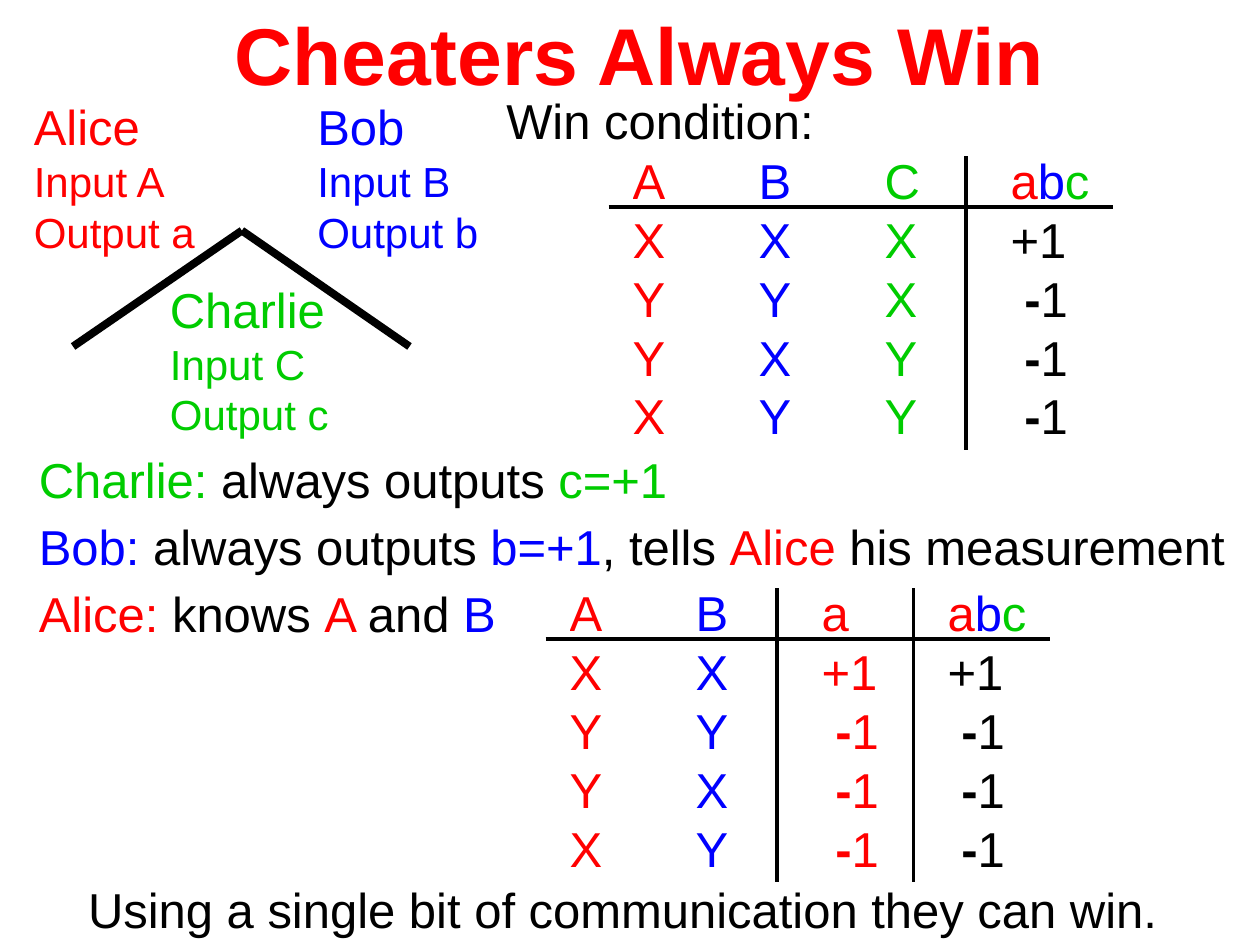
from lxml.etree import SubElement
from pptx import Presentation
from pptx.dml.color import RGBColor
from pptx.enum.shapes import MSO_CONNECTOR
from pptx.enum.text import MSO_AUTO_SIZE
from pptx.oxml.ns import qn
from pptx.util import Inches, Pt

COLORS = {"alice": "FF0000", "bob": "0000FF", "charlie": "00CC00", "text": "000000"}
FONT = "Arial"
BODY_SIZE = 28
DETAIL_SIZE = 24
TITLE_SIZE = 46
LINE_FACTOR = 1.2
ROW_HEIGHT = 0.467
COLUMN_WIDTH = 1
MINUS_INDENT = 0.11
PRODUCT = [("a", "alice"), ("b", "bob"), ("c", "charlie")]


def write_spans(para, spans, size=BODY_SIZE, bold=False):
    """Write (text, colour name) spans into a paragraph, with minus signs in bold."""
    para.line_spacing = Pt(round(size * LINE_FACTOR, 1))
    for text, color in spans:
        pieces = ["-", text[1:]] if text.startswith("-") else [text]
        for piece in pieces:
            span = para.add_run()
            span.text = piece
            span.font.name = FONT
            span.font.size = Pt(size)
            span.font.bold = bold or piece == "-"
            span.font.color.rgb = RGBColor.from_string(COLORS[color])


def add_text(page, left, top, width, height, lines):
    """Place a text box whose lines are (spans, size, bold) entries."""
    box = page.shapes.add_textbox(Inches(left), Inches(top), Inches(width), Inches(height))
    frame = box.text_frame
    frame.word_wrap = False
    frame.auto_size = MSO_AUTO_SIZE.SHAPE_TO_FIT_TEXT
    for index, (spans, size, bold) in enumerate(lines):
        para = frame.add_paragraph() if index else frame.paragraphs[0]
        write_spans(para, spans, size, bold)


def add_sentence(page, left, top, width, spans):
    """Place one line of body text."""
    add_text(page, left, top, width, 0.57, [(spans, BODY_SIZE, False)])


def add_line(page, start, end, weight):
    """Draw a straight black line between two points."""
    line = page.shapes.add_connector(
        MSO_CONNECTOR.STRAIGHT, *(Inches(value) for value in (*start, *end))
    )
    line.line.color.rgb = RGBColor.from_string(COLORS["text"])
    line.line.width = Pt(weight)
    SubElement(line._element.spPr, qn("a:effectLst"))


def add_player(page, left, top, name, letter):
    """Place a player's name with the input and output below it."""
    color = name.lower()
    lines = [
        ([(name, color)], BODY_SIZE, False),
        ([(f"Input {letter}", color)], DETAIL_SIZE, False),
        ([(f"Output {letter.lower()}", color)], DETAIL_SIZE, False),
    ]
    add_text(page, left, top, 1.48, 1.37, lines)


def add_separators(page, left, top):
    """Draw the two thick walls that keep the players apart."""
    for end in (left, left + 2.67):
        add_line(page, (left + 1.34, top), (end, top + 0.92), 4.5)


def add_outcomes(page, left, top, header, colors, rows, dividers):
    """Place an outcome table with its header rule and vertical dividers."""
    row_count, column_count = len(rows) + 1, len(colors)
    frame = page.shapes.add_table(
        row_count, column_count, Inches(left), Inches(top),
        Inches(column_count * COLUMN_WIDTH), Inches(row_count * ROW_HEIGHT),
    )
    table = frame.table
    table.first_row = table.horz_banding = False
    for column in table.columns:
        column.width = Inches(COLUMN_WIDTH)
    for row in table.rows:
        row.height = Inches(ROW_HEIGHT)
    body = [[[entry] for entry in zip(row, colors)] for row in rows]
    for row_index, row in enumerate([header] + body):
        for column_index, spans in enumerate(row):
            cell = table.cell(row_index, column_index)
            cell.fill.background()
            cell.margin_top = cell.margin_bottom = cell.margin_right = 0
            is_negative = spans[0][0].startswith("-")
            cell.margin_left = Inches(MINUS_INDENT if is_negative else 0)
            write_spans(cell.text_frame.paragraphs[0], spans)
    rule_left, rule_top = left - 0.19, top + 0.44
    add_line(page, (rule_left, rule_top), (rule_left + 4, rule_top), 2.25)
    for offset in dividers:
        add_line(page, (left + offset, top + 0.04), (left + offset, top + 2.37), 2.25)


def add_win_condition(page, left, top):
    """Place the win condition heading and its table."""
    add_sentence(page, left, top, 2.64, [("Win condition:", "text")])
    header = [[("A", "alice")], [("B", "bob")], [("C", "charlie")], PRODUCT]
    rows = [("X", "X", "X", "+1"), ("Y", "Y", "X", "-1"),
            ("Y", "X", "Y", "-1"), ("X", "Y", "Y", "-1")]
    colors = ("alice", "bob", "charlie", "text")
    add_outcomes(page, left + 1.1, top + 0.53, header, colors, rows, [2.65])


def add_strategy(page, left, top):
    """Place the cheating strategy of each player and Alice's table."""
    sentences = [
        (5.25, [("Charlie: ", "charlie"), ("always outputs ", "text"), ("c=+1", "charlie")]),
        (9.61, [("Bob: ", "bob"), ("always outputs ", "text"), ("b=+1", "bob"),
                (", tells ", "text"), ("Alice", "alice"), (" his measurement", "text")]),
        (3.95, [("Alice: ", "alice"), ("knows ", "text"), ("A ", "alice"),
                ("and ", "text"), ("B", "bob")]),
    ]
    for index, (width, spans) in enumerate(sentences):
        add_sentence(page, left, top + index * 0.53, width, spans)
    header = [[("A", "alice")], [("B", "bob")], [("a", "alice")], PRODUCT]
    rows = [("X", "X", "+1", "+1"), ("Y", "Y", "-1", "-1"),
            ("Y", "X", "-1", "-1"), ("X", "Y", "-1", "-1")]
    colors = ("alice", "bob", "alice", "text")
    add_outcomes(page, left + 4.31, top + 1.11, header, colors, rows, [1.65, 2.73])


def main():
    """Build the slide and save the deck."""
    deck = Presentation()
    deck.slide_width, deck.slide_height = Inches(10), Inches(7.5)
    page = deck.slides.add_slide(deck.slide_layouts[6])
    title = [("Cheaters Always Win", "alice")]
    add_text(page, 1.76, -0.01, 6.65, 0.87, [(title, TITLE_SIZE, True)])
    add_player(page, 0.17, 0.72, "Alice", "A")
    add_player(page, 2.42, 0.72, "Bob", "B")
    add_player(page, 1.25, 2.17, "Charlie", "C")
    add_separators(page, 0.58, 1.83)
    add_win_condition(page, 3.92, 0.67)
    add_strategy(page, 0.21, 3.52)
    conclusion = [("Using a single bit of communication they can win.", "text")]
    add_sentence(page, 0.6, 6.93, 8.68, conclusion)
    deck.save("out.pptx")


if __name__ == "__main__":
    main()
